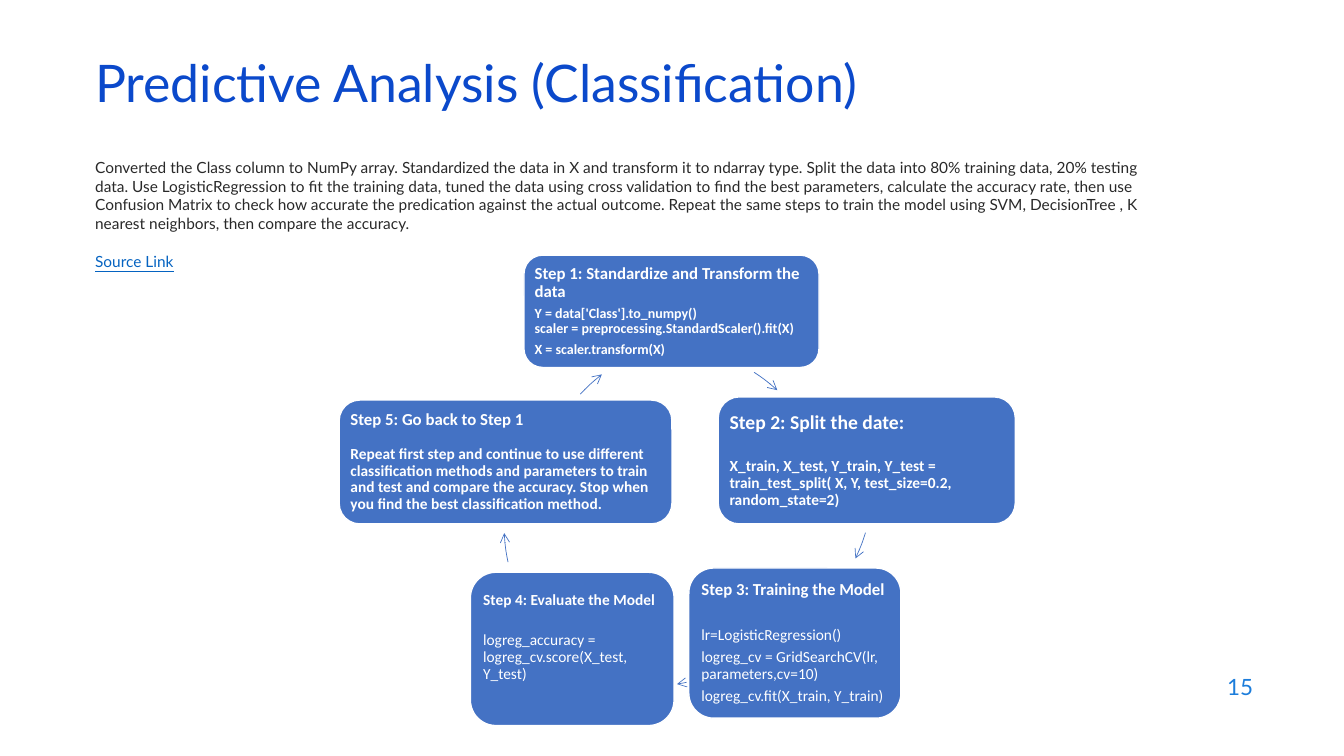
from dataclasses import dataclass

from lxml.etree import SubElement
from pptx import Presentation
from pptx.dml.color import RGBColor as Color
from pptx.enum.shapes import MSO_SHAPE as Preset
from pptx.enum.text import MSO_ANCHOR as Anchor, MSO_AUTO_SIZE as AutoSize, PP_ALIGN as Align
from pptx.oxml.ns import qn
from pptx.util import Emu, Pt


@dataclass(frozen=True)
class Theme:
    """Colours, fonts and type sizes of the slide."""
    title_blue: str = "0B49CB"
    page_blue: str = "1C7DDB"
    link_blue: str = "0563C1"
    ink: str = "292929"
    step_blue: str = "4472C4"
    white: str = "FFFFFF"
    text_font: str = "Lato"
    step_font: str = "Calibri"
    title_size: int = 37
    page_size: int = 16
    text_size: int = 11
    lead_size: int = 14
    heading_size: int = 12
    code_size: int = 10


class SlideBuilder:
    """Holds the style and the current slide, with a method per kind of element."""

    EMU_PER_PX = 9525
    ARC_UNITS_PER_DEGREE = 0.6
    CYCLE_DIAMETER = 355

    def __init__(self, theme, width, height):
        self.theme = theme
        self.deck = Presentation()
        self.deck.slide_width, self.deck.slide_height = self.px(width), self.px(height)
        self.slide = self.deck.slides.add_slide(self.deck.slide_layouts[1])

    def px(self, length):
        return Emu(length * self.EMU_PER_PX)

    def place(self, holder, box):
        holder.left, holder.top, holder.width, holder.height = map(self.px, box)

    def frame(self, holder, anchor):
        frame = holder.text_frame
        frame.word_wrap = True
        frame.auto_size = AutoSize.NONE
        frame.vertical_anchor = anchor
        return frame

    def paragraph(self, frame, index, spacing=1.0, before=0, align=Align.LEFT):
        paragraph = frame.add_paragraph() if index else frame.paragraphs[0]
        paragraph.alignment = align
        paragraph.line_spacing = spacing
        paragraph.space_before = Pt(before)
        paragraph.space_after = Pt(0)
        return paragraph

    def run(self, paragraph, words, size, color, font, bold=False, underline=False):
        run = paragraph.add_run()
        run.text = words
        run.font.name = font
        run.font.size = Pt(size)
        run.font.bold = bold
        run.font.underline = underline
        run.font.color.rgb = Color.from_string(color)

    def title(self, box, words):
        theme, holder = self.theme, self.slide.shapes.title
        self.place(holder, box)
        heading = self.paragraph(self.frame(holder, Anchor.MIDDLE), 0, spacing=0.7)
        self.run(heading, words, theme.title_size, theme.title_blue, theme.text_font)

    def body(self, box, summary, link):
        theme, holder = self.theme, self.slide.placeholders[1]
        self.place(holder, box)
        frame = self.frame(holder, Anchor.TOP)
        entries = [(summary, theme.ink, 0, False), (link, theme.link_blue, 14, True)]
        for index, (words, color, before, underline) in enumerate(entries):
            entry = self.paragraph(frame, index, before=before)
            properties = entry._p.get_or_add_pPr()
            properties.set("marL", "0")
            properties.set("indent", "0")
            SubElement(properties, qn("a:buNone"))
            self.run(entry, words, theme.text_size, color, theme.text_font, underline=underline)

    def page_number(self, box, number):
        theme = self.theme
        holder = self.slide.shapes.add_textbox(*map(self.px, box))
        line = self.paragraph(self.frame(holder, Anchor.MIDDLE), 0, align=Align.RIGHT)
        self.run(line, number, theme.page_size, theme.page_blue, theme.text_font)

    def step(self, box, lines, room_below=0):
        theme = self.theme
        card = self.slide.shapes.add_shape(Preset.ROUNDED_RECTANGLE, *map(self.px, box))
        card.shadow.inherit = False
        card.fill.solid()
        card.fill.fore_color.rgb = Color.from_string(theme.step_blue)
        card.line.color.rgb = Color.from_string(theme.white)
        card.line.width = Pt(1)
        frame = self.frame(card, Anchor.MIDDLE)
        frame.margin_left = frame.margin_right = frame.margin_top = self.px(5)
        frame.margin_bottom = self.px(5 + room_below)
        for index, (words, size, bold, before) in enumerate(lines):
            line = self.paragraph(frame, index, spacing=0.9, before=before)
            self.run(line, words, size, theme.white, theme.step_font, bold=bold)

    def cycle_arrow(self, left, top, start, end):
        box = (left, top, self.CYCLE_DIAMETER, self.CYCLE_DIAMETER)
        arrow = self.slide.shapes.add_shape(Preset.ARC, *map(self.px, box))
        for index, degrees in enumerate((start, end)):
            arrow.adjustments[index] = degrees * self.ARC_UNITS_PER_DEGREE
        arrow.shadow.inherit = False
        arrow.fill.background()
        arrow.line.color.rgb = Color.from_string(self.theme.step_blue)
        arrow.line.width = Pt(0.5)
        SubElement(arrow.line._get_or_add_ln(), qn("a:tailEnd"), type="arrow")

    def save(self):
        self.deck.save("out.pptx")


def main():
    """Build the classification slide."""
    theme = Theme()
    text, heading, code = theme.text_size, theme.heading_size, theme.code_size
    builder = SlideBuilder(theme, 1280, 720)

    builder.title((81, 56, 1104, 58), "Predictive Analysis (Classification)")
    builder.body(
        (81, 146, 1023, 503),
        "Converted the Class column to NumPy array. Standardized the data in X and transform it to "
        "ndarray type. Split the data into 80% training data, 20% testing data. Use "
        "LogisticRegression to fit the training data, tuned the data using cross validation to find "
        "the best parameters, calculate the accuracy rate, then use Confusion Matrix to check how "
        "accurate the predication against the actual outcome. Repeat the same steps to train the "
        "model using SVM, DecisionTree , K nearest neighbors, then compare the accuracy.",
        "Source Link",
    )
    builder.page_number((915, 633, 288, 42), "15")

    builder.step((499, 243, 281, 107), [
        ("Step 1: Standardize and Transform the data", heading, True, 0),
        ("Y = data['Class'].to_numpy()", code, True, 4),
        ("scaler = preprocessing.StandardScaler().fit(X)", code, True, 0),
        ("X = scaler.transform(X)", code, True, 4),
    ])
    builder.step((684, 378, 283, 121), [
        ("Step 2: Split the date:", theme.lead_size, True, 0),
        ("X_train, X_test, Y_train, Y_test = train_test_split( X, Y, test_size=0.2, "
         "random_state=2)", text, True, 18),
    ])
    builder.step((656, 541, 202, 143), [
        ("Step 3: Training the Model", heading, True, 0),
        ("lr=LogisticRegression()", text, False, 20),
        ("logreg_cv = GridSearchCV(lr, parameters,cv=10)", text, False, 4),
        ("logreg_cv.fit(X_train, Y_train)", text, False, 4),
    ])
    builder.step((448, 545, 194, 146), [
        ("Step 4: Evaluate the Model", text, True, 0),
        ("logreg_accuracy = logreg_cv.score(X_test, Y_test)", text, False, 17),
    ], room_below=22)
    builder.step((323, 381, 317, 118), [
        ("Step 5: Go back to Step 1", heading, True, 0),
        ("Repeat first step and continue to use different classification methods and parameters "
         "to train and test and compare the accuracy. Stop when you find the best classification "
         "method.", text, True, 12),
    ])

    for left, top, start, end in [
        (444, 326, 303, 312),
        (477, 278, 17, 25.5),
        (438, 299, 78, 80.5),
        (480, 321, 168, 177),
        (505, 319, 223, 232),
    ]:
        builder.cycle_arrow(left, top, start, end)
    builder.save()


if __name__ == "__main__":
    main()
